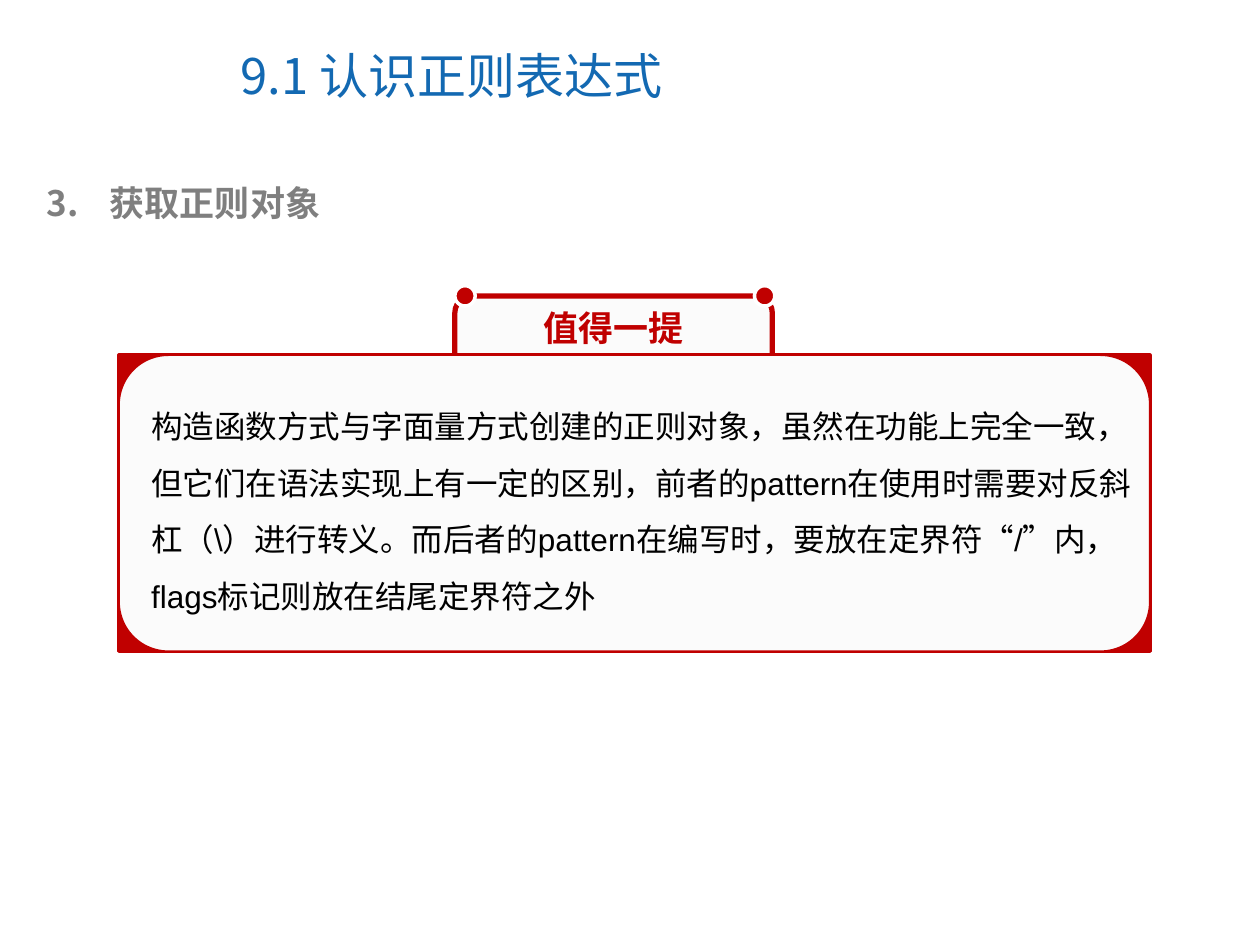
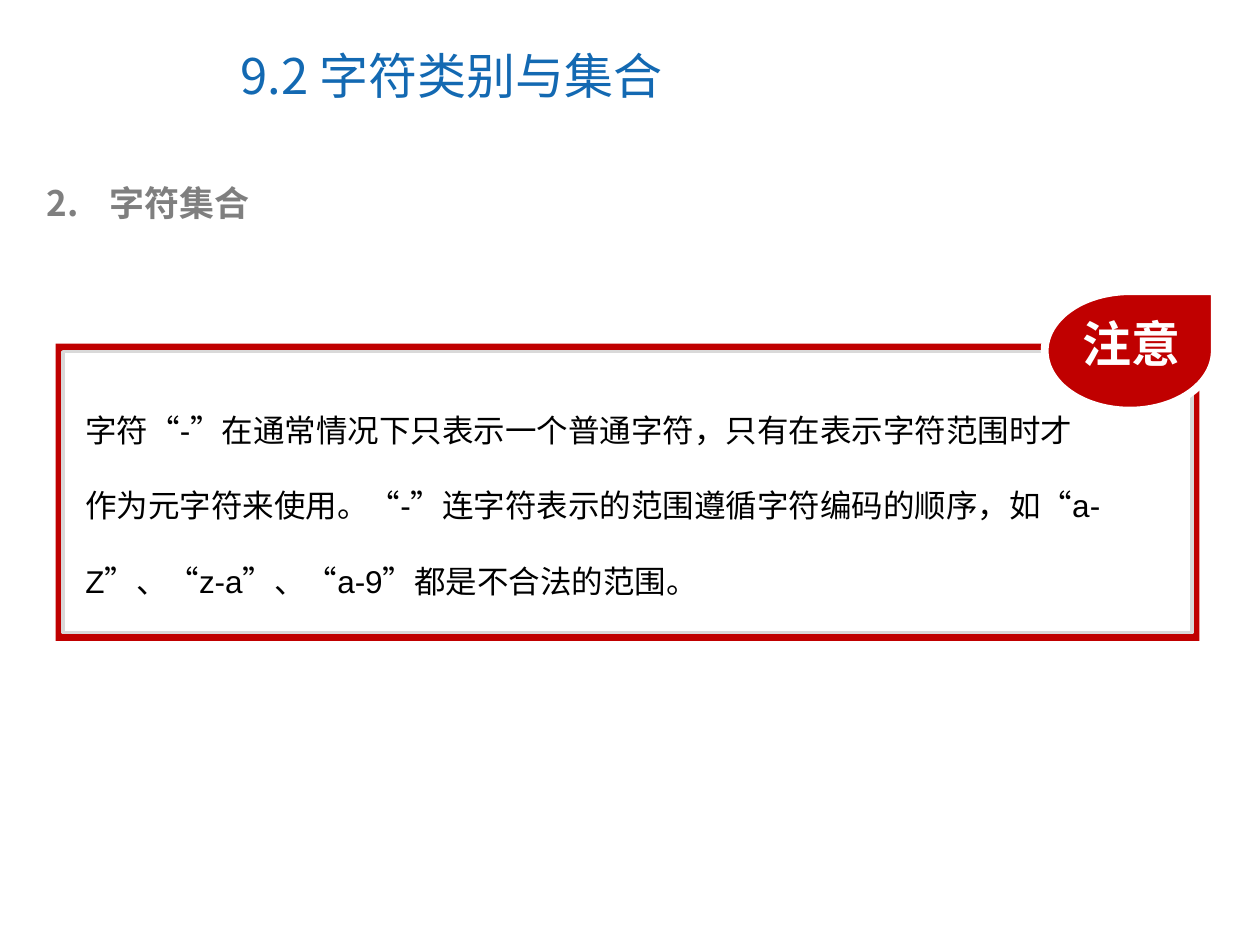
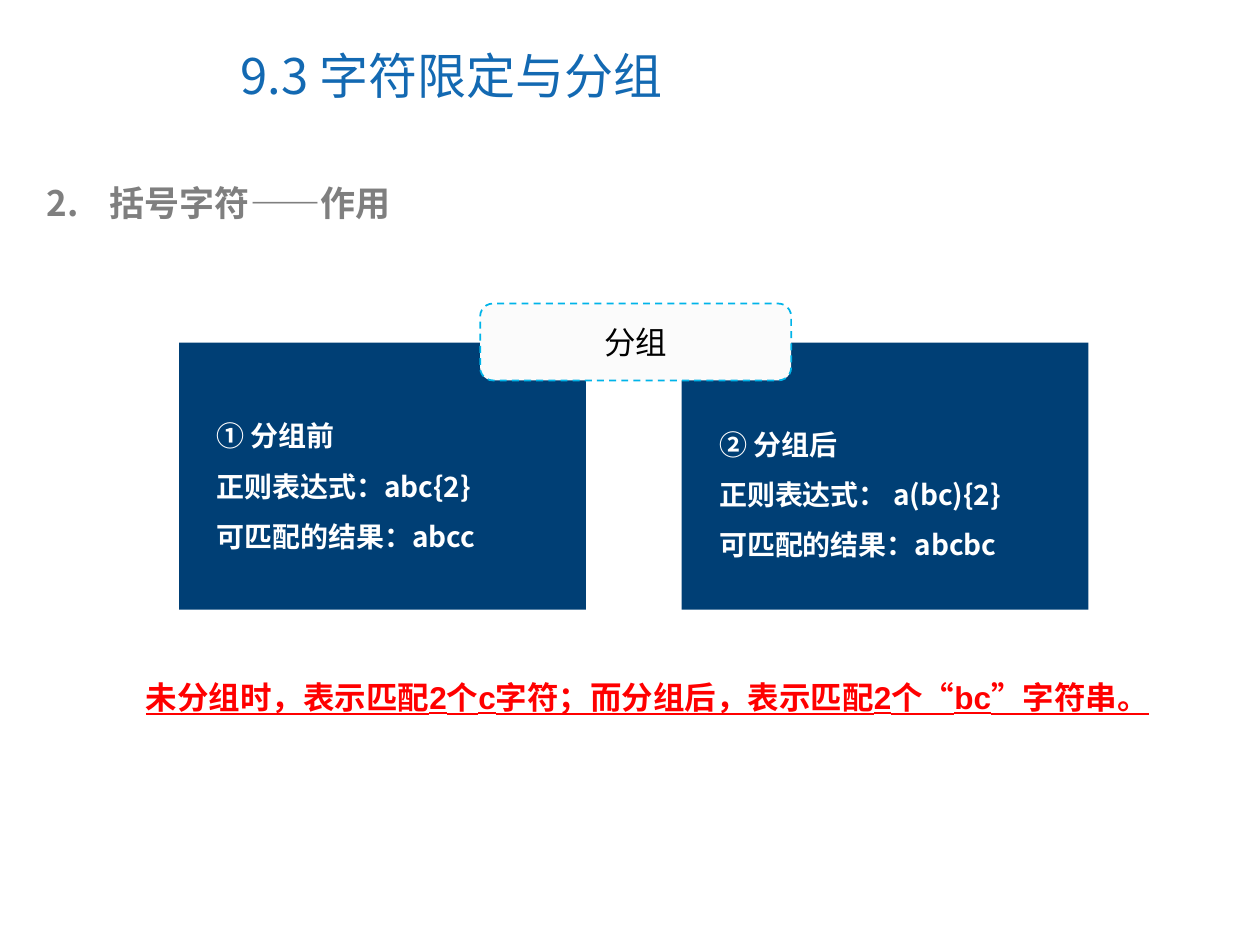
from lxml import etree
from pptx import Presentation
from pptx.dml.color import RGBColor
from pptx.enum import dml, lang, shapes, text
from pptx.oxml import ns
from pptx.util import Cm, Pt

BLUE = RGBColor(0x13, 0x69, 0xB2)
NAVY = RGBColor(0x00, 0x3F, 0x75)
CYAN = RGBColor(0x00, 0xB4, 0xE9)
CRIMSON = RGBColor(0xC0, 0x00, 0x00)
RED = RGBColor(0xFF, 0x00, 0x00)
GRAY = RGBColor(0x7F, 0x7F, 0x7F)
SILVER = RGBColor(0xD9, 0xD9, 0xD9)
OFF_WHITE = RGBColor(0xFB, 0xFB, 0xFB)
WHITE = RGBColor(0xFF, 0xFF, 0xFF)
BLACK = RGBColor(0x00, 0x00, 0x00)
CJK = "Noto Sans CJK SC"
LATIN = "Arial"
MS = shapes.MSO_SHAPE


def write(tf, lines, size, color, face=CJK, bold=False, underline=None,
          spacing=1.0, align=text.PP_ALIGN.LEFT, wrap=True):
    """Fill a text frame, one paragraph a line, with East Asian glyphs in CJK."""
    tf.text = "\n".join(lines)
    tf.word_wrap = wrap
    tf.auto_size = text.MSO_AUTO_SIZE.NONE
    for p in tf.paragraphs:
        p.alignment = align
        p.line_spacing = spacing
        p.space_before = Pt(0)
        for r in p.runs:
            r.font.size = Pt(size)
            r.font.bold = bold
            r.font.underline = underline
            r.font.color.rgb = color
            r.font.name = face
            r.font.language_id = lang.MSO_LANGUAGE_ID.SIMPLIFIED_CHINESE
            etree.SubElement(r.font._element, ns.qn("a:ea"), typeface=CJK)


def add_box(s, kind, left, top, width, height, fill, line=None, weight=1):
    sp = s.shapes.add_shape(kind, Cm(left), Cm(top), Cm(width), Cm(height))
    sp.shadow.inherit = False
    sp.fill.solid()
    sp.fill.fore_color.rgb = fill
    if line is None:
        sp.line.fill.background()
    else:
        sp.line.color.rgb = line
        sp.line.width = Pt(weight)
    return sp


prs = Presentation()
prs.slide_width, prs.slide_height = Cm(25.4), Cm(19.05)

# Title and numbered heading of every slide
for title, number, heading in [
    ("9.1 认识正则表达式", 3, "获取正则对象"),
    ("9.2 字符类别与集合", 2, "字符集合"),
    ("9.3 字符限定与分组", 2, "括号字符——作用"),
]:
    s = prs.slides.add_slide(prs.slide_layouts[1])
    sp = s.shapes.title
    sp.left, sp.top, sp.width, sp.height = Cm(4.6), Cm(0.43), Cm(13.11), Cm(2.16)
    write(sp.text_frame, [title], 28, BLUE)
    sp.text_frame.vertical_anchor = text.MSO_ANCHOR.MIDDLE

    sp = s.placeholders[1]
    sp.left, sp.top, sp.width, sp.height = Cm(0.69), Cm(3.53), Cm(23.42), Cm(1.12)
    write(sp.text_frame, [heading], 20, GRAY, bold=True)
    pPr = sp.text_frame.paragraphs[0]._p.get_or_add_pPr()
    pPr.set("marL", str(Cm(1.27)))
    pPr.set("indent", str(-Cm(1.27)))
    bullet_color = etree.SubElement(pPr, ns.qn("a:buClr"))
    etree.SubElement(bullet_color, ns.qn("a:srgbClr"), val=str(GRAY))
    etree.SubElement(pPr, ns.qn("a:buFont"), typeface=CJK)
    etree.SubElement(pPr, ns.qn("a:buAutoNum"), type="arabicPeriod",
                     startAt=str(number))

regex_slide, charset_slide, group_slide = prs.slides

# 9.1: tabbed panel
s = regex_slide
add_box(s, MS.ROUNDED_RECTANGLE, 9.17, 5.97, 6.4, 2.01, OFF_WHITE, CRIMSON, 3)
panel = (2.4, 7.16, 20.78, 5.97)
add_box(s, MS.FLOWCHART_PROCESS, *panel, CRIMSON, CRIMSON, 2)
add_box(s, MS.FLOWCHART_ALTERNATE_PROCESS, *panel, OFF_WHITE, CRIMSON)
for left in (9.17, 15.21):
    add_box(s, MS.OVAL, left, 5.76, 0.41, 0.41, CRIMSON, WHITE, 2)
label = s.shapes.add_textbox(Cm(10.7), Cm(6.05), Cm(3.33), Cm(1.12))
write(label.text_frame, ["值得一提"], 20, CRIMSON, bold=True, wrap=False)
body = s.shapes.add_textbox(Cm(2.8), Cm(7.7), Cm(20.32), Cm(4.83))
write(body.text_frame, [
    "构造函数方式与字面量方式创建的正则对象，虽然在功能上完全一致，"
    "但它们在语法实现上有一定的区别，前者的pattern在使用时需要对反斜杠（\\）进行转义。"
    "而后者的pattern在编写时，要放在定界符“/”内，flags标记则放在结尾定界符之外",
], 18, BLACK, LATIN, spacing=1.5)

# 9.2: framed note with a drop-shaped badge
s = charset_slide
add_box(s, MS.RECTANGLE, 1.12, 6.93, 23.06, 5.99, CRIMSON)
add_box(s, MS.RECTANGLE, 1.27, 7.09, 22.76, 5.66, WHITE, SILVER, 2)
add_box(s, MS.TEAR, 21.06, 5.87, 3.43, 2.41, CRIMSON, WHITE, 4.5)
label = s.shapes.add_textbox(Cm(21.58), Cm(6.2), Cm(2.46), Cm(1.45))
write(label.text_frame, ["注意"], 28, WHITE, bold=True, wrap=False)
body = s.shapes.add_textbox(Cm(1.47), Cm(7.39), Cm(21.65), Cm(4.83))
write(body.text_frame, [
    "字符“-”在通常情况下只表示一个普通字符，只有在表示字符范围时才",
    "作为元字符来使用。“-”连字符表示的范围遵循字符编码的顺序，"
    "如“a-Z”、“z-a”、“a-9”都是不合法的范围。",
], 18, BLACK, LATIN, spacing=2.0)

# 9.3: before and after grouping
s = group_slide
for left, text_top, lines in [
    (3.61, 7.98, ["① 分组前", "正则表达式：abc{2}", "可匹配的结果：abcc"]),
    (13.74, 8.15, ["② 分组后", "正则表达式： a(bc){2}", "可匹配的结果：abcbc"]),
]:
    add_box(s, MS.RECTANGLE, left, 6.91, 8.2, 5.38, NAVY)
    body = s.shapes.add_textbox(Cm(left + 0.51), Cm(text_top), Cm(7.7), Cm(3.3))
    write(body.text_frame, lines, 16, WHITE, bold=True, spacing=1.5)
label = add_box(s, MS.ROUNDED_RECTANGLE, 9.68, 6.12, 6.27, 1.55, OFF_WHITE, CYAN)
label.line.dash_style = dml.MSO_LINE.DASH
write(label.text_frame, ["分组"], 18, BLACK, LATIN, align=text.PP_ALIGN.CENTER)
note = s.shapes.add_textbox(Cm(2.69), Cm(13.54), Cm(21.29), Cm(1.78))
write(note.text_frame,
      ["未分组时，表示匹配2个c字符；而分组后，表示匹配2个“bc”字符串。"],
      18, RED, LATIN, bold=True, underline=True)

prs.save("out.pptx")
